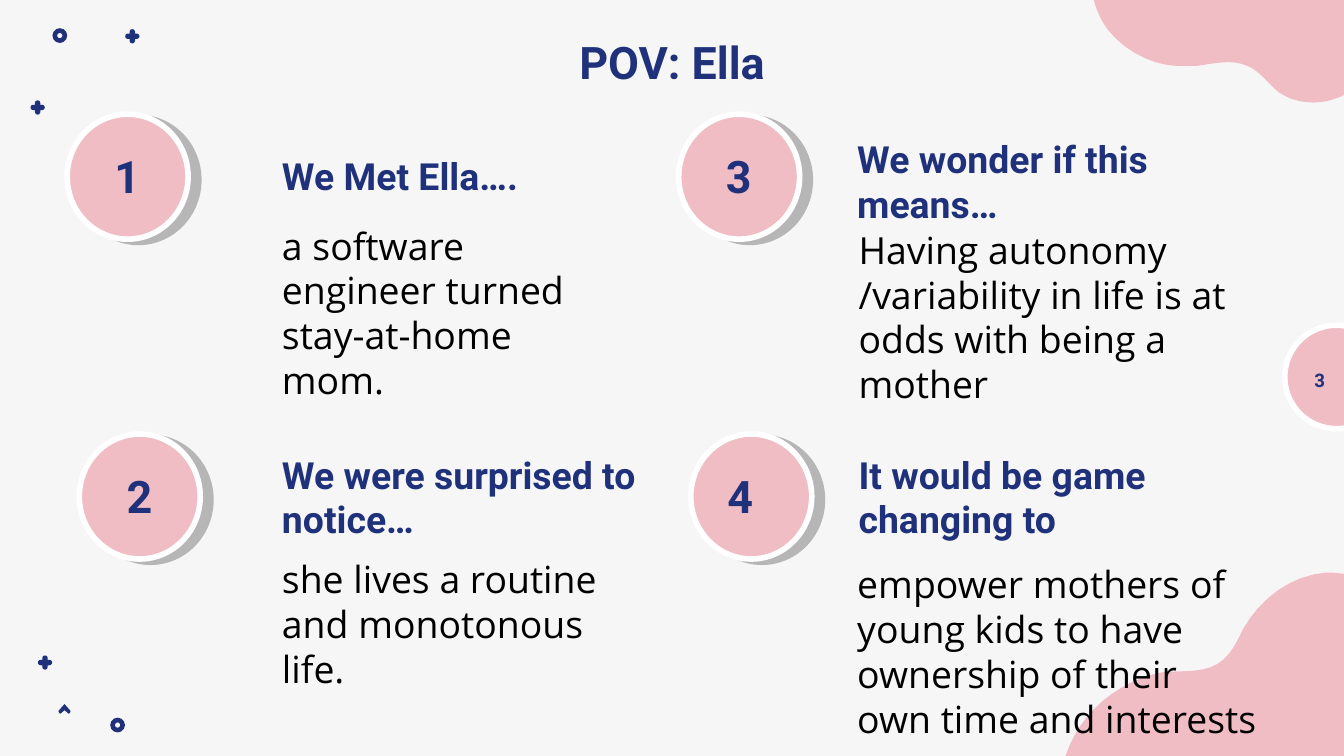
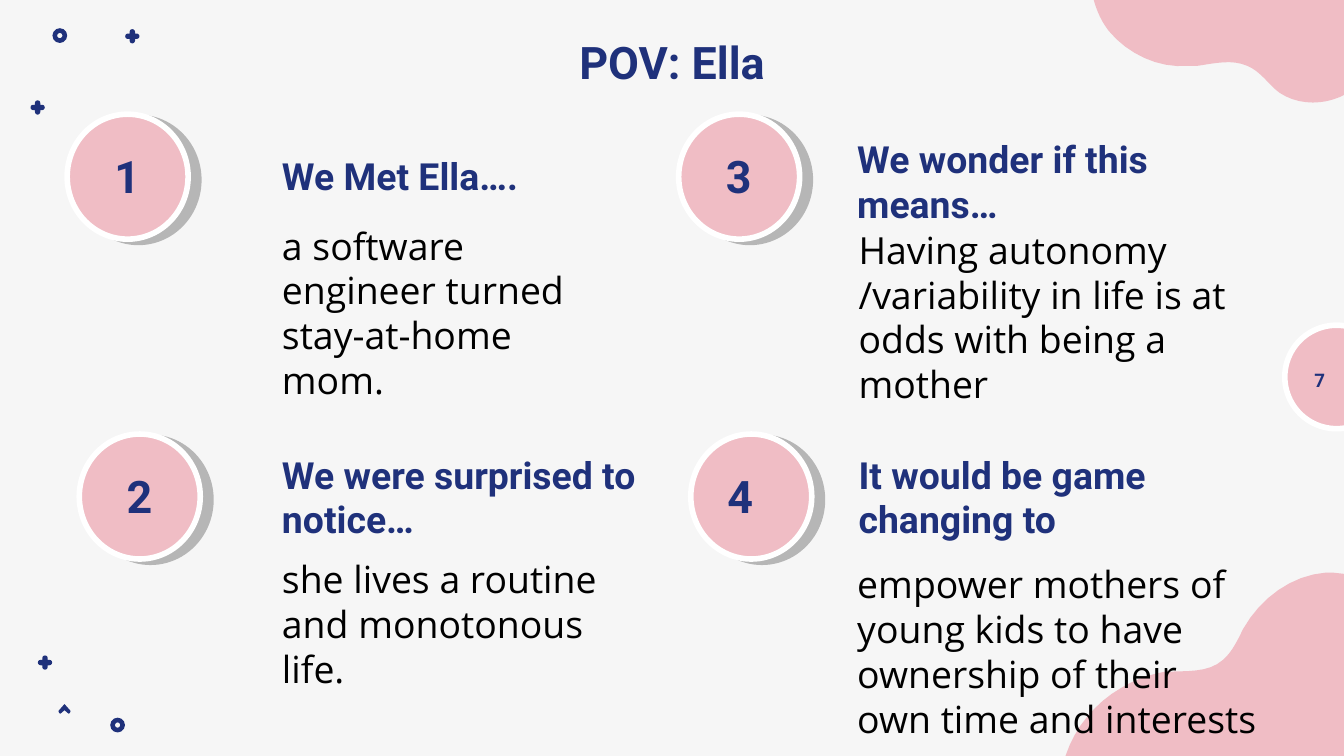
import math

import pptx
import pptx.dml.color
import pptx.enum.shapes
import pptx.enum.text
import pptx.oxml
import pptx.oxml.ns
import pptx.util

SHAPE = pptx.enum.shapes.MSO_SHAPE
ALIGN = pptx.enum.text.PP_ALIGN

NAVY, PINK, WHITE, BLACK, PAPER = "1F317B", "F0BDC5", "FFFFFF", "000000", "F6F6F6"
HEADING_FONT, BODY_FONT = "Roboto", "Open Sans"
COLUMNS, ROWS = 100, 56.25

# Each blob is a start point followed by cubic curves (two controls, one end).
BOTTOM_BLOB = [
    (99.1, 42.6),
    (99, 42.6), (98.8, 42.6), (98.7, 42.6),
    (96.1, 42.8), (93.8, 44.5), (92.5, 46.8),
    (92.1, 47.6), (91.7, 48.5), (91, 49.1),
    (89.9, 50.1), (88.2, 49.9), (86.6, 50),
    (85.5, 50.2), (84.4, 50.6), (83.4, 51.2),
    (81.5, 52.3), (80, 54.1), (79.3, 56.2),
    (79.1, 56.9), (79, 57.5), (78.9, 58.1),
]
BOTTOM_CORNERS = [(100.9, 58.1), (100.9, 42.8)]
TOP_BLOB = [
    (81.2, -0.8),
    (81.4, 0.3), (81.8, 1.4), (82.5, 2.3),
    (83.9, 4), (86.2, 5.1), (88.4, 4.9),
    (88.7, 4.9), (88.9, 4.9), (89.1, 4.9),
    (90.4, 4.7), (91.7, 4.4), (92.8, 4.9),
    (93.8, 5.3), (94.4, 6.3), (95.2, 6.9),
    (96.4, 7.7), (97.9, 7.8), (99.2, 7.4),
    (100.5, 7), (101.6, 6.1), (102.4, 4.9),
    (102.7, 4.6), (103, 4.1), (103.2, 3.7),
]
TOP_CORNERS = [(103.2, -0.8)]
CHEVRON = [(4.35, 52.9), (4.7, 52.5), (4.8, 52.4), (4.9, 52.5), (5.25, 52.9),
           (5.2, 53.05), (5.1, 53.1), (4.8, 52.85), (4.5, 53.1), (4.4, 53.05)]
PLUS_CENTRES = [(3.35, 49.3), (2.8, 8), (9.85, 2.7)]
RING_CORNERS = [(8.2, 53.4), (3.9, 2.1)]

# number, badge corner, shift of the number inside the badge
BADGES = [
    ("1", (5, 8.5), 2.7),
    ("2", (5.9, 32.3), 2.7),
    ("3", (50.5, 8.5), 2.7),
    ("4", (51.4, 32.3), 1.9),
]
# heading, its box, body, its box
STATEMENTS = [
    ("We Met Ella….", (20, 10.9, 25.4, 4.3),
     "a software engineer turned stay-at-home mom.", (20, 22.1, 25.4, 5.6)),
    ("We wonder if this means…", (62.8, 11.3, 27.3, 4.3),
     "Having autonomy /variability in life is at odds with being a mother",
     (62.9, 22.4, 29.7, 5.6)),
    ("We were surprised to notice…", (20, 34.8, 29, 4.3),
     "she lives a routine and monotonous life.", (20, 45.5, 25.4, 5.1)),
    ("It would be game changing to", (62.9, 34.8, 29, 4.3),
     "empower mothers of young kids to have ownership of their own time and interests",
     (62.8, 47.3, 31.9, 5.6)),
]


def colour(hex_string):
    return pptx.dml.color.RGBColor.from_string(hex_string)


def curve_points(anchors, steps=8):
    """Sample a chain of cubic curves into a list of points."""
    points = [anchors[0]]
    for index in range(0, len(anchors) - 1, 3):
        curve = anchors[index:index + 4]
        for step in range(1, steps + 1):
            t = step / steps
            weights = ((1 - t) ** 3, 3 * t * (1 - t) ** 2, 3 * t * t * (1 - t), t ** 3)
            points.append(tuple(sum(weight * point[axis] for weight, point in zip(weights, curve))
                                for axis in (0, 1)))
    return points


def plus_points(centre_x, centre_y, reach=0.33, radius=0.2):
    """Outline of a plus sign whose four arms end in half circles."""
    points = []
    for arm in range(0, 360, 90):
        angle = math.radians(arm)
        for turn in range(-90, 91, 30):
            tip = math.radians(arm + turn)
            points.append((centre_x + reach * math.cos(angle) + radius * math.cos(tip),
                           centre_y + reach * math.sin(angle) + radius * math.sin(tip)))
        corner = math.radians(arm + 45)
        points.append((centre_x + radius * math.sqrt(2) * math.cos(corner),
                       centre_y + radius * math.sqrt(2) * math.sin(corner)))
    return points


class Deck:
    """Holds the presentation, the current slide and the shared style."""

    def __init__(self):
        self.presentation = pptx.Presentation()
        self.presentation.slide_width = pptx.util.Inches(10)
        self.presentation.slide_height = pptx.util.Inches(5.625)
        fill = self.presentation.slide_master.background.fill
        fill.solid()
        fill.fore_color.rgb = colour(PAPER)
        self.slide = None

    def across(self, columns):
        return round(self.presentation.slide_width * columns / COLUMNS)

    def down(self, rows):
        return round(self.presentation.slide_height * rows / ROWS)

    def place(self, box):
        left, top, width, height = box
        return self.across(left), self.down(top), self.across(width), self.down(height)

    def paint(self, shape, fill, line=None):
        shape.shadow.inherit = False
        shape.fill.solid()
        shape.fill.fore_color.rgb = colour(fill)
        if line:
            shape.line.color.rgb = colour(line)
            shape.line.width = pptx.util.Pt(3)
        else:
            shape.line.fill.background()
        return shape

    def outline(self, points, fill):
        places = [(self.across(x), self.down(y)) for x, y in points]
        builder = self.slide.shapes.build_freeform(*places[0])
        builder.add_line_segments(places[1:], close=True)
        return self.paint(builder.convert_to_shape(), fill)

    def preset(self, kind, box, fill, line=None):
        return self.paint(self.slide.shapes.add_shape(kind, *self.place(box)), fill, line)

    def set_text(self, shape, text, size, font=HEADING_FONT, ink=NAVY, bold=True,
                 align=ALIGN.LEFT):
        frame = shape.text_frame
        frame.text = text
        frame.word_wrap = True
        frame.auto_size = pptx.enum.text.MSO_AUTO_SIZE.NONE
        frame.vertical_anchor = pptx.enum.text.MSO_ANCHOR.MIDDLE
        frame.margin_left = frame.margin_right = self.across(1)
        frame.margin_top = frame.margin_bottom = self.down(1)
        paragraph = frame.paragraphs[0]
        paragraph.alignment = align
        for run in paragraph.runs:
            run.font.name = font
            run.font.size = pptx.util.Pt(size)
            run.font.bold = bold
            run.font.color.rgb = colour(ink)
        return frame

    def text(self, box, text, size, **style):
        return self.set_text(self.slide.shapes.add_textbox(*self.place(box)), text, size, **style)

    def body(self, box, text):
        """Body copy, raised by half a line within its box."""
        frame = self.text(box, text, 20, font=BODY_FONT, ink=BLACK, bold=False)
        frame.margin_top, frame.margin_bottom = 0, self.down(3.3)

    def title(self, text):
        title = self.slide.shapes.title
        title.left, title.top, title.width, title.height = self.place((7.8, 1.4, 84.4, 6.3))
        self.set_text(title, text, 24, align=ALIGN.CENTER)

    def badge(self, number, corner, shift):
        left, top = corner
        circle = self.preset(SHAPE.OVAL, (left, top, 9, 9.3), PINK, WHITE)
        effects = circle._element.spPr.find(pptx.oxml.ns.qn("a:effectLst"))
        effects.append(pptx.oxml.parse_xml(
            f'<a:outerShdw {pptx.oxml.ns.nsdecls("a")} blurRad="0" dist="{pptx.util.Pt(6)}" '
            f'dir="{17 * 60000}" algn="bl" rotWithShape="0"><a:srgbClr val="{BLACK}">'
            '<a:alpha val="26000"/></a:srgbClr></a:outerShdw>'))
        self.text((left + shift, top + 2.1, 1.8, 5), number, 24)

    def decoration(self):
        self.outline(curve_points(BOTTOM_BLOB) + BOTTOM_CORNERS, PINK)
        self.outline(curve_points(TOP_BLOB) + TOP_CORNERS, PINK)
        for centre in PLUS_CENTRES:
            self.outline(plus_points(*centre), NAVY)
        for corner in RING_CORNERS:
            ring = self.preset(SHAPE.DONUT, (*corner, 1.1, 1.1), NAVY)
            ring.adjustments[0] = 0.32
        self.outline(CHEVRON, NAVY)
        self.preset(SHAPE.OVAL, (95.6, 24.2, 7.7, 7.7), PINK, WHITE)

    def add_slide(self, title, page):
        self.slide = self.presentation.slides.add_slide(self.presentation.slide_layouts[5])
        self.decoration()
        self.title(title)
        self.text((95.2, 26.1, 6, 4.3), page, 10, align=ALIGN.CENTER)


def main():
    deck = Deck()
    for page in ("3", "7"):
        deck.add_slide("POV: Ella", page)
        for heading, heading_box, body, body_box in STATEMENTS:
            deck.text(heading_box, heading, 20)
            deck.body(body_box, body)
        for badge in BADGES:
            deck.badge(*badge)
    deck.presentation.save("out.pptx")


if __name__ == "__main__":
    main()
